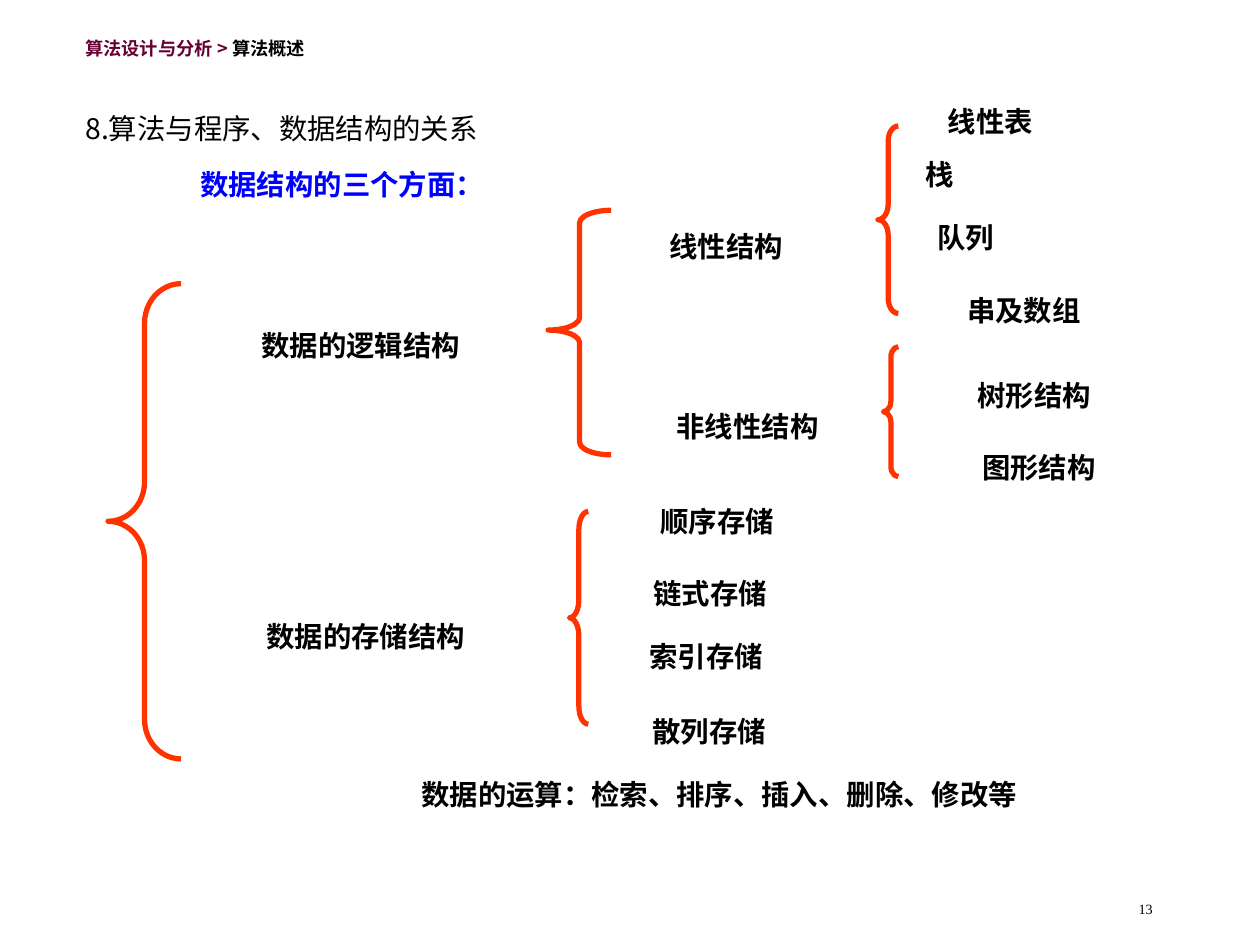
from lxml import etree
from pptx import Presentation
from pptx.dml.color import RGBColor
from pptx.enum.shapes import MSO_SHAPE
from pptx.enum.text import MSO_ANCHOR, MSO_AUTO_SIZE, PP_ALIGN
from pptx.oxml.ns import qn
from pptx.util import Cm, Pt

LEFT, CENTER, RIGHT = PP_ALIGN.LEFT, PP_ALIGN.CENTER, PP_ALIGN.RIGHT
TOP, BOTTOM = MSO_ANCHOR.TOP, MSO_ANCHOR.BOTTOM
GROW, FIXED = MSO_AUTO_SIZE.SHAPE_TO_FIT_TEXT, MSO_AUTO_SIZE.NONE
LEFT_BRACE = MSO_SHAPE.LEFT_BRACE

THEME = {
    "black": RGBColor(0, 0, 0),
    "blue": RGBColor(0, 0, 0xFF),
    "maroon": RGBColor(0x66, 0, 0x33),
    "brace": RGBColor(0xFF, 0x33, 0),
    "serif": "Times New Roman",
    "sans": "Noto Sans CJK SC",
    "body": Pt(28),
    "header": Pt(18),
    "number": Pt(14),
    "brace_line": Pt(3),
    "baseline": "-8000",
}


def place(box, left, top, width, height):
    box.left, box.top, box.width, box.height = (
        Cm(value) for value in (left, top, width, height))


def write(box, spans, size="body", font="serif", bold=True, align=CENTER,
          spacing=None, anchor=TOP, fit=GROW):
    """Fill a box with one paragraph of (text, colour) spans set below the baseline."""
    frame = box.text_frame
    frame_format = {"word_wrap": True, "auto_size": fit, "vertical_anchor": anchor,
                    "margin_left": Cm(0.25), "margin_right": Cm(0.25),
                    "margin_top": Cm(0.13), "margin_bottom": Cm(0.13)}
    for name, value in frame_format.items():
        setattr(frame, name, value)
    para = frame.paragraphs[0]
    para.alignment = align
    if spacing:
        para.line_spacing = spacing
        para.space_before = Pt(0)
    else:
        before = etree.SubElement(para._p.get_or_add_pPr(), qn("a:spcBef"))
        etree.SubElement(before, qn("a:spcPct"), val="50000")
    for text, colour in spans:
        span = para.add_run()
        span.text = text
        for name, value in {"size": THEME[size], "name": THEME[font], "bold": bold}.items():
            setattr(span.font, name, value)
        span.font.color.rgb = THEME[colour]
        properties = span._r.get_or_add_rPr()
        properties.set("baseline", THEME["baseline"])
        etree.SubElement(properties, qn("a:ea"), typeface=THEME["sans"])


deck = Presentation()
deck.slide_width, deck.slide_height = Cm(25.4), Cm(19.05)
page = deck.slides.add_slide(deck.slide_layouts[5])

# Title
title = page.shapes.title
place(title, 1.47, 1.37, 14.35, 1.68)
write(title, [("8.算法与程序、数据结构的关系", "black")],
      font="sans", bold=False, align=LEFT, spacing=1.2)

# Header trail
header = page.shapes.add_textbox(Cm(1.47), Cm(0), Cm(8.51), Cm(1.32))
write(header, [("算法设计与分析 > ", "maroon"), ("算法概述", "black")],
      size="header", font="sans", align=LEFT, spacing=1.4)

# Braces: left, top, width, height, curl, point
braces = [
    (2.18, 5.72, 1.47, 9.58, 0.54, 0.5),
    (11.48, 10.31, 0.38, 4.29, 0.95, 0.5),
    (11.05, 4.24, 1.27, 4.93, 0.2, 0.49),
    (17.7, 2.54, 0.41, 3.78, 0.75, 0.5),
    (17.81, 6.99, 0.3, 2.62, 0.7, 0.5),
]
for left, top, width, height, curl, point in braces:
    brace = page.shapes.add_shape(LEFT_BRACE, Cm(left), Cm(top), Cm(width), Cm(height))
    brace.shadow.inherit = False
    brace.fill.background()
    brace.line.color.rgb = THEME["brace"]
    brace.line.width = THEME["brace_line"]
    brace.adjustments[0] = curl
    brace.adjustments[1] = point

# Labels: text, left, top, width, colour
LABEL_HEIGHT = 1.45
labels = [
    ("数据结构的三个方面：", 1.27, 2.74, 11.25, "blue"),
    ("数据的逻辑结构", 3.28, 5.99, 7.98, "black"),
    ("数据的存储结构", 3.38, 11.86, 7.98, "black"),
    ("线性结构", 12.14, 3.99, 5, "black"),
    ("非线性结构", 12.2, 7.62, 5.74, "black"),
    ("顺序存储", 11.36, 9.53, 6.2, "black"),
    ("链式存储", 11.7, 11, 5.23, "black"),
    ("索引存储", 11.99, 12.27, 4.5, "black"),
    ("散列存储", 11.92, 13.77, 4.75, "black"),
    ("线性表", 18.21, 1.47, 3.51, "black"),
    ("栈", 18.21, 2.54, 1.47, "black"),
    ("队列", 18.21, 3.81, 2.51, "black"),
    ("串及数组", 17.78, 5.28, 5.72, "black"),
    ("树形结构", 18.19, 6.99, 5.31, "black"),
    ("图形结构", 18.19, 8.46, 5.51, "black"),
    ("数据的运算：检索、排序、插入、删除、修改等", 3.65, 15.04, 21.69, "black"),
]
for text, left, top, width, colour in labels:
    label = page.shapes.add_textbox(Cm(left), Cm(top), Cm(width), Cm(LABEL_HEIGHT))
    write(label, [(text, colour)])

# Page number
number = page.shapes.add_textbox(Cm(18.21), Cm(17.35), Cm(5.28), Cm(1.27))
write(number, [("13", "black")], size="number", bold=False, align=RIGHT,
      anchor=BOTTOM, fit=FIXED)

deck.save("out.pptx")
